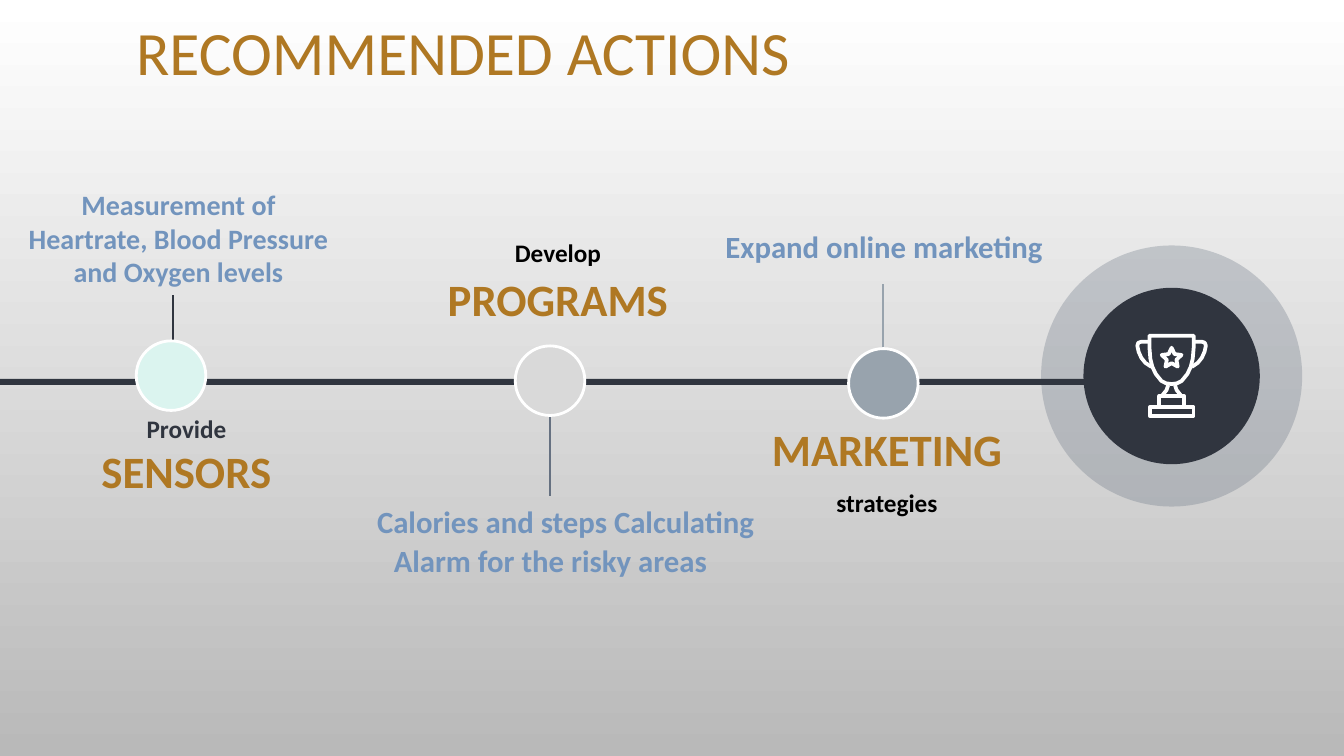
from math import cos, pi, sin

from lxml import etree
from pptx import Presentation
from pptx.dml.color import RGBColor
from pptx.enum.shapes import MSO_CONNECTOR, MSO_SHAPE
from pptx.enum.text import MSO_ANCHOR, MSO_AUTO_SIZE, PP_ALIGN
from pptx.oxml.ns import qn
from pptx.util import Inches, Pt

OVAL, RECTANGLE = MSO_SHAPE.OVAL, MSO_SHAPE.RECTANGLE
STRAIGHT = MSO_CONNECTOR.STRAIGHT
TOP, BOTTOM = MSO_ANCHOR.TOP, MSO_ANCHOR.BOTTOM
LEFT, CENTER = PP_ALIGN.LEFT, PP_ALIGN.CENTER
FIXED = MSO_AUTO_SIZE.NONE

WHITE = RGBColor(0xFF, 0xFF, 0xFF)
BLACK = RGBColor(0x00, 0x00, 0x00)
SILVER = RGBColor(0xB9, 0xB9, 0xB9)
NAVY = RGBColor(0x30, 0x35, 0x3F)
SLATE = RGBColor(0x66, 0x71, 0x81)
STEEL = RGBColor(0x98, 0xA3, 0xAD)
MINT = RGBColor(0xDB, 0xF4, 0xEF)
PALE_GREY = RGBColor(0xD9, 0xD9, 0xD9)
GOLD = RGBColor(0xAF, 0x78, 0x23)
BLUE = RGBColor(0x72, 0x94, 0xBD)

COLUMNS, ROWS = 40, 22.5
TITLE_ONLY_LAYOUT = 5


def apply_format(target, values):
    for name, value in values.items():
        setattr(target, name, value)


def mirrored(half):
    """Full outline from its right half, given as (offset from axis, row)."""
    return [(-x, y) for x, y in reversed(half)] + half


class TimelineSlide:
    """Draws on one slide; all lengths are columns and rows of a 40 x 22.5 grid."""

    font_name = "Calibri"

    def __init__(self, presentation):
        self.cell = presentation.slide_width / COLUMNS
        layout = presentation.slide_layouts[TITLE_ONLY_LAYOUT]
        self.slide = presentation.slides.add_slide(layout)
        self.shapes = self.slide.shapes

    def grid(self, *values):
        return [round(value * self.cell) for value in values]

    def background(self, top_color, bottom_color):
        fill = self.slide.background.fill
        fill.gradient()
        fill.gradient_angle = 270
        for stop, color in zip(fill.gradient_stops, (top_color, bottom_color)):
            stop.color.rgb = color

    def paint(self, shape, fill=None, line=None, width=2):
        shape.shadow.inherit = False
        for part, color in ((shape.fill, fill), (shape.line.fill, line)):
            if color is None:
                part.background()
            else:
                part.solid()
                part.fore_color.rgb = color
        if line is not None:
            shape.line.width = Pt(width)

    def block(self, box, fill=None, line=None, width=2):
        shape = self.shapes.add_shape(RECTANGLE, *self.grid(*box))
        self.paint(shape, fill, line, width)

    def circle(self, center, diameter, fill, line=None, opacity=None):
        x, y = center
        box = self.grid(x - diameter / 2, y - diameter / 2, diameter, diameter)
        shape = self.shapes.add_shape(OVAL, *box)
        self.paint(shape, fill, line)
        if opacity is not None:
            color = shape._element.spPr.find(".//" + qn("a:srgbClr"))
            etree.SubElement(color, qn("a:alpha"), val=str(opacity * 1000))

    def stem(self, x, top, bottom, color):
        line = self.shapes.add_connector(STRAIGHT, *self.grid(x, top, x, bottom))
        line.line.color.rgb = color
        line.line.width = Pt(1.5)
        etree.SubElement(line._element.spPr, qn("a:effectLst"))

    def outline(self, axis, points, closed, color, width):
        """Stroke through points whose x is an offset from the axis."""
        start, *rest = [self.grid(axis + x, y) for x, y in points]
        builder = self.shapes.build_freeform(*start)
        builder.add_line_segments(rest, close=closed)
        self.paint(builder.convert_to_shape(), None, color, width)

    def trophy(self, axis):
        stroke = 2.7
        cup = [(0, 11.43), (0.16, 11.41), (0.3, 11.34), (0.47, 11.13),
               (0.57, 10.92), (0.63, 10.68), (0.66, 10.32), (0.66, 9.99)]
        handle = [(0.66, 10.17), (0.9, 10.17), (0.99, 10.2), (1.02, 10.29),
                  (0.98, 10.47), (0.9, 10.65), (0.78, 10.8), (0.6, 10.92)]
        foot = [(0.1, 11.46), (0.15, 11.61), (0.27, 11.76)]
        star = []
        for corner in range(10):
            radius = 0.15 if corner % 2 else 0.31
            angle = corner * pi / 5
            star.append((radius * sin(angle), 10.66 - radius * cos(angle)))

        for points in (mirrored(cup), star):
            self.outline(axis, points, True, WHITE, stroke)
        for side in (-1, 1):
            for points in (handle, foot):
                self.outline(axis, [(side * x, y) for x, y in points],
                             False, WHITE, stroke)
        for half_width, top, height in ((0.37, 11.79, 0.33), (0.65, 12.12, 0.26)):
            self.block((axis - half_width, top, 2 * half_width, height),
                       None, WHITE, stroke)

    def add_lines(self, frame, lines, alignment=CENTER, bold=True):
        """Each line is (text, size, color) with an optional space before."""
        for index, (text, size, color, *before) in enumerate(lines):
            paragraph = frame.add_paragraph() if index else frame.paragraphs[0]
            paragraph.text = text
            paragraph.alignment = alignment
            if before:
                paragraph.space_before = Pt(before[0])
            font = paragraph.runs[0].font
            apply_format(font, {
                "name": self.font_name, "size": Pt(size), "bold": bold})
            font.color.rgb = color

    def label(self, box, lines, anchor=TOP, inset=0):
        frame = self.shapes.add_textbox(*self.grid(*box)).text_frame
        apply_format(frame, {
            "word_wrap": True, "vertical_anchor": anchor,
            "margin_left": Inches(inset), "margin_right": Inches(inset),
            "margin_top": Inches(inset / 2), "margin_bottom": Inches(inset / 2)})
        self.add_lines(frame, lines)

    def title(self, box, text):
        title = self.shapes.title
        apply_format(title, dict(zip(("left", "top", "width", "height"),
                                     self.grid(*box))))
        apply_format(title.text_frame, {
            "vertical_anchor": TOP, "auto_size": FIXED, "word_wrap": True,
            "margin_top": Inches(0.14)})
        self.add_lines(title.text_frame, [(text, 44, GOLD)], LEFT, bold=False)
        title.text_frame.paragraphs[0].line_spacing = 0.9


def main():
    presentation = Presentation()
    apply_format(presentation, {"slide_width": Inches(COLUMNS / 3),
                                "slide_height": Inches(ROWS / 3)})
    timeline = TimelineSlide(presentation)
    timeline.background(WHITE, SILVER)
    timeline.title((3.75, 0.24, 28.14, 4.68), "RECOMMENDED ACTIONS")

    goal = (34.87, 11.19)
    timeline.circle(goal, 7.77, SLATE, opacity=30)
    timeline.block((0, 11.28, 36.18, 0.18), NAVY)
    timeline.circle(goal, 5.25, NAVY)
    timeline.trophy(goal[0])

    milestones = [
        ((5.09, 11.18), MINT, (5.16, 8.79, 11.1, NAVY)),
        ((16.37, 11.33), PALE_GREY, (16.37, 12.42, 14.76, SLATE)),
        ((26.29, 11.41), STEEL, (26.29, 8.46, 10.8, STEEL)),
    ]
    for center, color, stem in milestones:
        timeline.stem(*stem)
        timeline.circle(center, 2.07, color, WHITE)

    timeline.label((0.36, 5.43, 9.9, 3.33), [
        ("Measurement of Heartrate, Blood Pressure and Oxygen levels", 20, BLUE),
    ], inset=0.1)
    timeline.label((2.76, 12.3, 5.58, 2.52), [
        ("Provide", 18, NAVY), ("SENSORS", 32, GOLD)])
    timeline.label((13.14, 6.57, 6.93, 3.12), [
        ("Develop", 18, BLACK), ("PROGRAMS", 32, GOLD, 3)], BOTTOM)
    timeline.label((11.01, 14.97, 11.64, 1.11), [
        ("Calories and steps Calculating", 22, BLUE)])
    timeline.label((11.52, 16.11, 9.72, 1.83), [
        ("Alarm for the risky areas", 22, BLUE)])
    timeline.label((21.33, 6.78, 9.96, 1.11), [
        ("Expand online marketing", 22, BLUE)])
    timeline.label((22.83, 12.54, 7.14, 3.03), [
        ("MARKETING", 32, GOLD), ("strategies", 18, BLACK, 9)])

    presentation.save("out.pptx")


if __name__ == "__main__":
    main()
